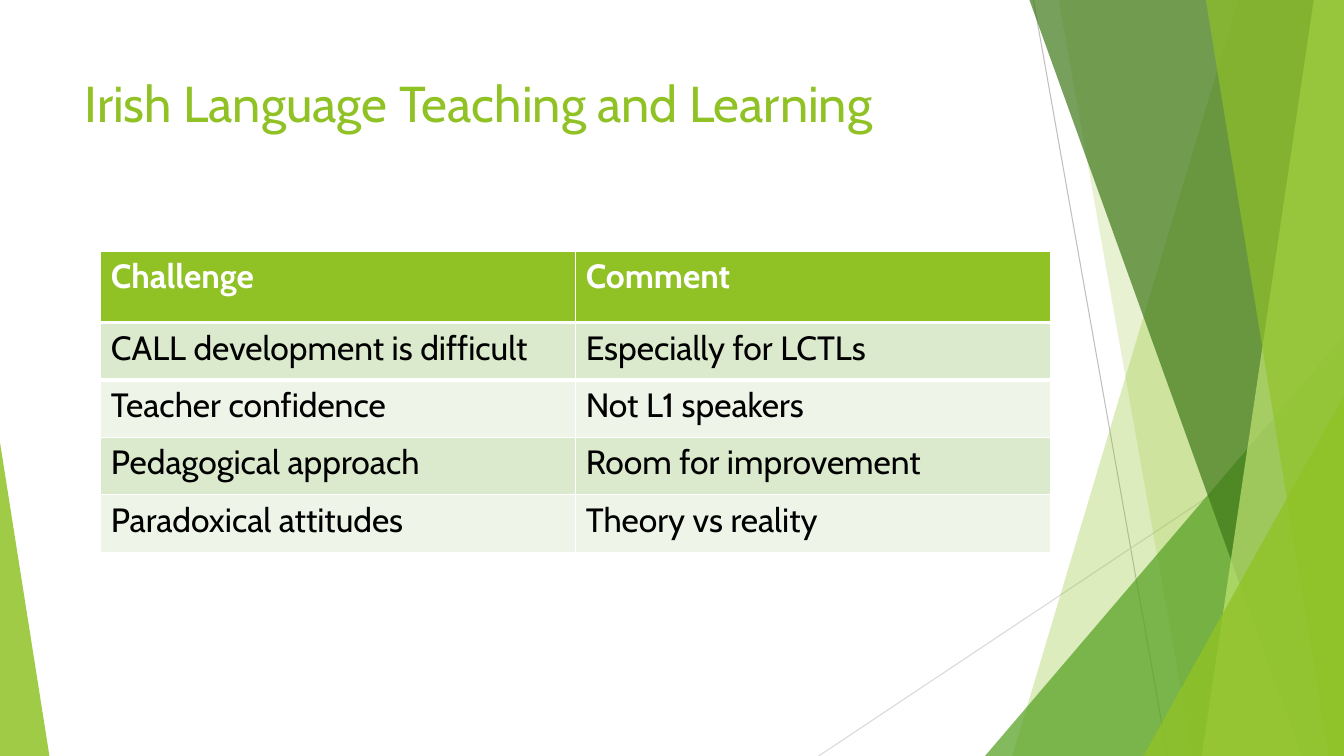
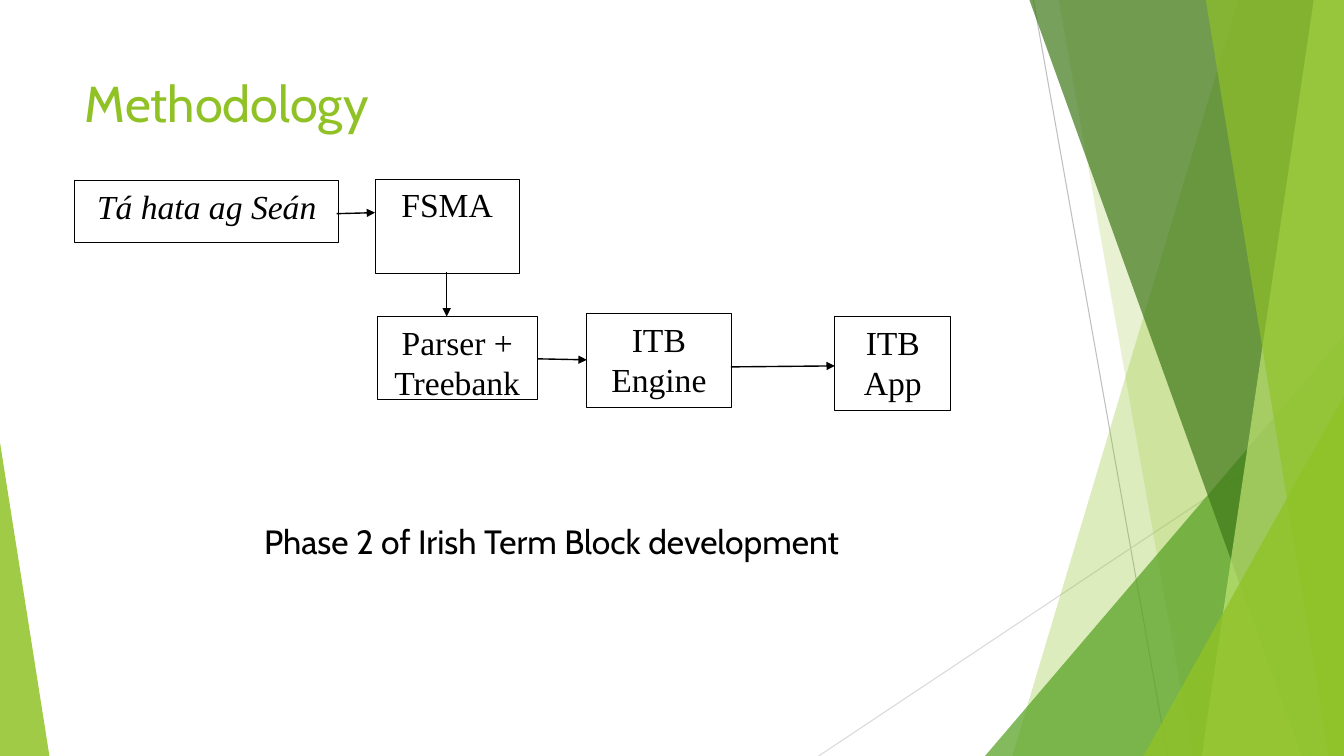
"""Build two slides on Irish language teaching and a development methodology."""
from lxml.etree import SubElement
from pptx import Presentation
from pptx.dml.color import RGBColor
from pptx.enum.shapes import MSO_CONNECTOR, MSO_SHAPE
from pptx.enum.text import MSO_ANCHOR, PP_ALIGN
from pptx.oxml.ns import qn
from pptx.util import Pt

PX = 9144
WIDTH, HEIGHT = 1333, 750
GREEN, BLACK, WHITE = "90C226", "000000", "FFFFFF"
TITLE = {"name": "Cabin", "size": Pt(36), "bold": False}
BODY = {"name": "Cabin", "size": Pt(24), "bold": False}
HEADER = {**BODY, "bold": True}
BOX = {"name": "Times New Roman", "size": Pt(24)}
color = RGBColor.from_string


def write_text(frame, text, font_format, font_color, alignment=PP_ALIGN.LEFT):
    """Write one formatted paragraph at the top of a text frame."""
    frame.text = text
    frame.word_wrap = True
    frame.vertical_anchor = MSO_ANCHOR.TOP
    paragraph = frame.paragraphs[0]
    paragraph.alignment = alignment
    font = paragraph.runs[0].font
    font.color.rgb = color(font_color)
    for name, value in font_format.items():
        setattr(font, name, value)


def draw_line(slide, ends, line_color, points, arrow=False):
    """Draw a straight line, with an arrowhead at its end if wanted."""
    connector = slide.shapes.add_connector(
        MSO_CONNECTOR.STRAIGHT, *[end * PX for end in ends])
    connector.line.color.rgb = color(line_color)
    connector.line.width = Pt(points)
    properties = connector.element.spPr
    if arrow:
        SubElement(properties.find(qn("a:ln")), qn("a:tailEnd"), type="triangle")
    SubElement(properties, qn("a:effectLst"))


presentation = Presentation()
presentation.slide_width = WIDTH * PX
presentation.slide_height = HEIGHT * PX

layout = presentation.slide_layouts[5]
for placeholder in list(layout.placeholders):
    if placeholder.placeholder_format.idx:
        layout.shapes.element.remove(placeholder.element)
    else:
        placeholder.left, placeholder.top = 74 * PX, 67 * PX
        placeholder.width, placeholder.height = 940 * PX, 144 * PX

slides = []
for title in ("Irish Language Teaching and Learning", "Methodology"):
    slide = presentation.slides.add_slide(layout)
    write_text(slide.shapes.title.text_frame, title, TITLE, GREEN)
    slides.append(slide)
challenges_slide, methodology_slide = slides

draw_line(challenges_slide, (1025, 0, 1158, HEIGHT), "BFBFBF", 0.75)
draw_line(challenges_slide, (WIDTH, 403, 812, HEIGHT), "D9D9D9", 0.75)

bands = [
    ("edge", (1228, 1004), GREEN, 30),
    ("edge", (1050, 1183), GREEN, 20),
    ("triangle", (977, 333, 356, 1), "54A021", 72),
    ("edge", (1021, 1291), "3F7819", 70),
    ("edge", (1303, 1192), "C0E474", 70),
    ("edge", (1196, 1318), GREEN, 65),
    ("triangle", (1134, 393, 199, 1), GREEN, 80),
    ("triangle", (0, 439, 49, 0), GREEN, 85),
]
for kind, geometry, band_color, opacity in bands:
    if kind == "edge":
        top_left, bottom_left = geometry
        builder = challenges_slide.shapes.build_freeform(top_left, 0, scale=PX)
        builder.add_line_segments(
            [(WIDTH, 0), (WIDTH, HEIGHT), (bottom_left, HEIGHT)], close=True)
        shape = builder.convert_to_shape()
    else:
        left, top, width, apex = geometry
        shape = challenges_slide.shapes.add_shape(
            MSO_SHAPE.ISOSCELES_TRIANGLE,
            left * PX, top * PX, width * PX, (HEIGHT - top) * PX)
        shape.adjustments[0] = apex
    shape.shadow.inherit = False
    shape.line.fill.background()
    shape.fill.solid()
    shape.fill.fore_color.rgb = color(band_color)
    fill_color = shape.element.spPr.find(qn("a:solidFill"))[0]
    SubElement(fill_color, qn("a:alpha"), val=str(opacity * 1000))

decoration = list(challenges_slide.shapes)[1:]
for position, shape in enumerate(decoration, 2):
    layout.shapes.element.insert(position, shape.element)

challenges = [
    ("Challenge", "Comment"),
    ("CALL development is difficult", "Especially for LCTLs"),
    ("Teacher confidence", "Not L1 speakers"),
    ("Pedagogical approach", "Room for improvement"),
    ("Paradoxical attitudes", "Theory vs reality"),
]
table = challenges_slide.shapes.add_table(
    len(challenges), 2, 100 * PX, 249 * PX, 942 * PX, 300 * PX).table
for row_index, texts in enumerate(challenges):
    table.rows[row_index].height = (57 if row_index else 71) * PX
    if row_index == 0:
        fill, font_format, font_color = GREEN, HEADER, WHITE
    else:
        fill = "DBE9CD" if row_index % 2 else "EEF4E8"
        font_format, font_color = BODY, BLACK
    for column_index, text in enumerate(texts):
        cell = table.cell(row_index, column_index)
        cell.fill.solid()
        cell.fill.fore_color.rgb = color(fill)
        write_text(cell.text_frame, text, font_format, font_color)
        if row_index < 2:
            properties = cell.fill.fore_color and cell._tc.get_or_add_tcPr()
            side = "a:lnT" if row_index else "a:lnB"
            border = SubElement(properties, qn(side), w=str(Pt(3)))
            border_fill = SubElement(border, qn("a:solidFill"))
            SubElement(border_fill, qn("a:srgbClr"), val=WHITE)
            properties.insert(0, border)

boxes = [
    ("Tá hata ag Seán", 74, 179, 262, 61, True),
    ("FSMA", 372, 178, 143, 93, False),
    ("Parser + Treebank", 374, 314, 159, 82, False),
    ("ITB Engine", 582, 311, 143, 93, False),
    ("ITB App", 828, 314, 115, 93, False),
]
for text, left, top, width, height, italic in boxes:
    shape = methodology_slide.shapes.add_shape(
        MSO_SHAPE.RECTANGLE, left * PX, top * PX, width * PX, height * PX)
    shape.shadow.inherit = False
    shape.fill.solid()
    shape.fill.fore_color.rgb = color(WHITE)
    shape.line.color.rgb = color(BLACK)
    shape.line.width = Pt(0.5)
    write_text(shape.text_frame, text, {**BOX, "italic": italic}, BLACK,
               PP_ALIGN.CENTER)

arrows = [
    (334, 212, 372, 211),
    (443, 270, 443, 314),
    (533, 356, 582, 357),
    (725, 364, 828, 363),
]
for ends in arrows:
    draw_line(methodology_slide, ends, BLACK, 1, arrow=True)

caption = methodology_slide.shapes.add_textbox(252 * PX, 512 * PX, 719 * PX, 50 * PX)
write_text(caption.text_frame, "Phase 2 of Irish Term Block development", BODY, BLACK)

presentation.save("out.pptx")
